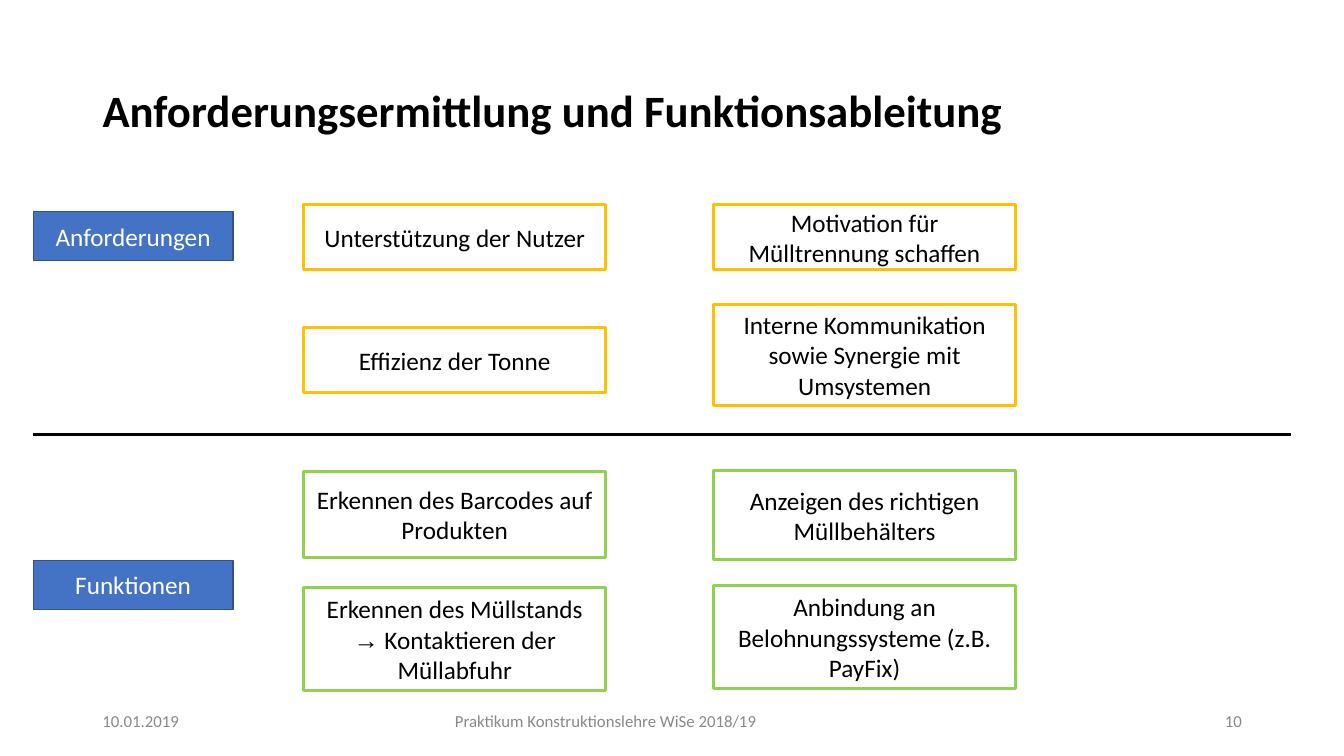
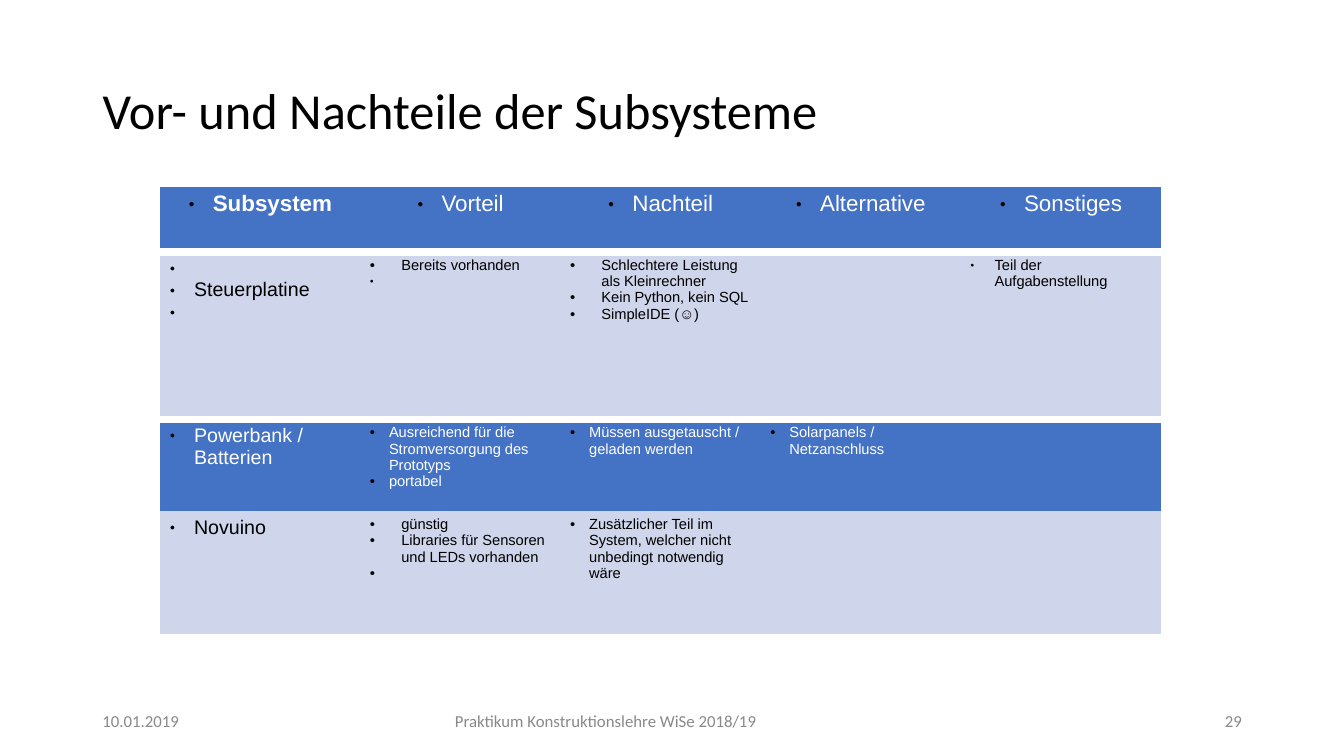
from dataclasses import dataclass

from lxml import etree
from pptx import Presentation
from pptx import util as u
from pptx.dml.color import RGBColor
from pptx.enum import shapes, text
from pptx.oxml import ns

COLORS = {
    "black": "000000", "white": "FFFFFF", "footer": "898989",
    "blue": "4472C4", "blue_edge": "2F528F", "pale": "CFD5EA",
    "yellow": "FFC000", "green": "92D050",
}
BODY_FONT = "Calibri"
TABLE_FONT = "Arial"
PLAIN_TABLE_STYLE = "{2D5ABB26-0587-4C30-8999-92F81FD0307C}"
LEFT, CENTER, RIGHT = text.PP_ALIGN.LEFT, text.PP_ALIGN.CENTER, text.PP_ALIGN.RIGHT


@dataclass(frozen=True)
class Card:
    left: float
    top: float
    width: float
    height: float
    label: str
    fill: str = "white"
    edge: str = "yellow"
    edge_width: float = 2.25
    ink: str = "black"


@dataclass(frozen=True)
class FooterPart:
    left: float
    width: float
    align: text.PP_ALIGN


@dataclass(frozen=True)
class Bullet:
    char: str
    indent: float
    percent: int = 100


@dataclass(frozen=True)
class Item:
    label: str
    bullet: Bullet


@dataclass(frozen=True)
class Row:
    height: float
    fill: str
    ink: str
    cells: tuple[tuple[Item, ...], ...]


# Shared page parts
FOOTER_PARTS = (
    FooterPart(2.33, 7.62, LEFT),
    FooterPart(6.83, 16.87, CENTER),
    FooterPart(23.93, 7.62, RIGHT),
)

# Requirement and function cards
COLUMN_A, COLUMN_B, CARD_WIDTH = 7.65, 17.98, 7.62


def group_label(top: float, label: str) -> Card:
    return Card(0.84, top, 5.03, 1.24, label, "blue", "blue_edge", 1, "white")


def function_card(left: float, top: float, height: float, label: str) -> Card:
    return Card(left, top, CARD_WIDTH, height, label, edge="green")


CARDS = (
    group_label(5.33, "Anforderungen"),
    group_label(14.12, "Funktionen"),
    Card(COLUMN_A, 5.16, CARD_WIDTH, 1.63, "Unterstützung der Nutzer"),
    Card(COLUMN_B, 5.16, CARD_WIDTH, 1.63, "Motivation für Mülltrennung schaffen"),
    Card(COLUMN_A, 8.26, CARD_WIDTH, 1.63, "Effizienz der Tonne"),
    Card(COLUMN_B, 7.67, CARD_WIDTH, 2.54,
         "Interne Kommunikation sowie Synergie mit Umsystemen"),
    function_card(COLUMN_A, 11.89, 2.16, "Erkennen des Barcodes auf Produkten"),
    function_card(COLUMN_B, 11.86, 2.24, "Anzeigen des richtigen Müllbehälters"),
    function_card(COLUMN_A, 14.81, 2.59,
                  "Erkennen des Müllstands\v→ Kontaktieren der Müllabfuhr"),
    function_card(COLUMN_B, 14.76, 2.59,
                  "Anbindung an Belohnungssysteme (z.B. PayFix)"),
)

# Subsystem table
DOT = Bullet("●", 0.61, 45)
WIDE = Bullet("•", 0.79)
TIGHT = Bullet("•", 0.48)


def items(bullet: Bullet, *labels: str) -> tuple[Item, ...]:
    return tuple(Item(label, bullet) for label in labels)


HEADINGS = ("Subsystem", "Vorteil", "Nachteil", "Alternative", "Sonstiges")
ROWS = (
    Row(1.65, "blue", "white", tuple(items(DOT, name) for name in HEADINGS)),
    Row(4.22, "pale", "black", (
        items(DOT, " ", "Steuerplatine", " "),
        items(WIDE, "Bereits vorhanden") + items(DOT, " "),
        items(WIDE, "Schlechtere Leistung als Kleinrechner",
              "Kein Python, kein SQL", "SimpleIDE (☺)"),
        (),
        items(DOT, "Teil der Aufgabenstellung"),
    )),
    Row(2.31, "blue", "white", (
        items(DOT, "Powerbank /\vBatterien"),
        items(TIGHT, "Ausreichend für die Stromversorgung des Prototyps",
              "portabel"),
        items(TIGHT, "Müssen ausgetauscht / geladen werden"),
        items(TIGHT, "Solarpanels / Netzanschluss"),
        (),
    )),
    Row(3.1, "pale", "black", (
        items(DOT, "Novuino"),
        items(WIDE, "günstig", "Libraries für Sensoren und LEDs vorhanden")
        + items(TIGHT, " "),
        items(TIGHT, "Zusätzlicher Teil im System, welcher nicht unbedingt "
                     "notwendig wäre"),
        (),
        (),
    )),
)


def color(name: str) -> RGBColor:
    return RGBColor.from_string(COLORS[name])


def format_runs(para, size: float, ink: str, font: str = BODY_FONT,
                bold: bool = False) -> None:
    for span in para.runs:
        span.font.name = font
        span.font.size = u.Pt(size)
        span.font.bold = bold
        span.font.color.rgb = color(ink)


def add_page(deck, title: str, size: float, bold: bool, number: str):
    page = deck.slides.add_slide(deck.slide_layouts[5])
    box = page.shapes.title
    box.left, box.top = u.Cm(2.33), u.Cm(1.01)
    box.width, box.height = u.Cm(29.21), u.Cm(3.68)
    frame = box.text_frame
    frame.text = title
    frame.auto_size = text.MSO_AUTO_SIZE.NONE
    frame.vertical_anchor = text.MSO_ANCHOR.MIDDLE
    para = frame.paragraphs[0]
    para.alignment = LEFT
    para.line_spacing = 0.9
    format_runs(para, size, "black", bold=bold)

    labels = ("10.01.2019", "Praktikum Konstruktionslehre WiSe 2018/19", number)
    for part, label in zip(FOOTER_PARTS, labels):
        box = page.shapes.add_textbox(
            u.Cm(part.left), u.Cm(17.65), u.Cm(part.width), u.Cm(1.01))
        frame = box.text_frame
        frame.text = label
        frame.word_wrap = True
        frame.vertical_anchor = text.MSO_ANCHOR.MIDDLE
        frame.paragraphs[0].alignment = part.align
        format_runs(frame.paragraphs[0], 12, "footer")
    return page


def add_card(page, card: Card) -> None:
    box = page.shapes.add_shape(
        shapes.MSO_SHAPE.RECTANGLE, u.Cm(card.left), u.Cm(card.top),
        u.Cm(card.width), u.Cm(card.height))
    box.shadow.inherit = False
    box.fill.solid()
    box.fill.fore_color.rgb = color(card.fill)
    box.line.color.rgb = color(card.edge)
    box.line.width = u.Pt(card.edge_width)
    frame = box.text_frame
    frame.word_wrap = True
    frame.vertical_anchor = text.MSO_ANCHOR.MIDDLE
    before, arrow, after = card.label.partition("→")
    para = frame.paragraphs[0]
    para.text = before
    para.alignment = CENTER
    if arrow:
        arrow_span = para.add_run()
        arrow_span.text = arrow
        para.add_run().text = after
    format_runs(para, 18, card.ink)
    if arrow:
        arrow_span.font.name = TABLE_FONT


def add_divider(page) -> None:
    line = page.shapes.add_connector(
        shapes.MSO_CONNECTOR.STRAIGHT,
        u.Cm(0.84), u.Cm(10.95), u.Cm(32.54), u.Cm(10.95))
    line.line.color.rgb = color("black")
    line.line.width = u.Pt(1.5)
    etree.SubElement(line._element.spPr, ns.qn("a:effectLst"))


def set_bullet(para, bullet: Bullet) -> None:
    props = para._p.get_or_add_pPr()
    props.set("marL", str(u.Cm(bullet.indent)))
    props.set("indent", str(-u.Cm(bullet.indent)))
    tint = etree.SubElement(props, ns.qn("a:buClr"))
    etree.SubElement(tint, ns.qn("a:srgbClr"), val=COLORS["black"])
    etree.SubElement(props, ns.qn("a:buSzPct"), val=str(bullet.percent * 1000))
    etree.SubElement(props, ns.qn("a:buFont"), typeface=TABLE_FONT)
    etree.SubElement(props, ns.qn("a:buChar"), char=bullet.char)


def set_border(cell, side: str, width: float) -> None:
    border = etree.Element(ns.qn(f"a:{side}"), w=str(u.Pt(width)))
    fill = etree.SubElement(border, ns.qn("a:solidFill"))
    etree.SubElement(fill, ns.qn("a:srgbClr"), val=COLORS["white"])
    cell._tc.get_or_add_tcPr().insert(0, border)


def fill_cell(cell, row: Row, entries: tuple[Item, ...], size: float,
              header: bool, bold: bool) -> None:
    cell.fill.solid()
    cell.fill.fore_color.rgb = color(row.fill)
    cell.margin_left = cell.margin_right = u.Cm(0.24)
    for index, item in enumerate(entries):
        frame = cell.text_frame
        para = frame.add_paragraph() if index else frame.paragraphs[0]
        para.text = item.label
        para.alignment = CENTER if header else LEFT
        set_bullet(para, item.bullet)
        format_runs(para, size, row.ink, TABLE_FONT, bold)


def add_subsystem_table(page) -> None:
    height = sum(row.height for row in ROWS)
    table = page.shapes.add_table(
        len(ROWS), len(HEADINGS), u.Cm(4.04), u.Cm(4.7),
        u.Cm(25.22), u.Cm(height)).table
    table.first_row = table.horz_banding = False
    table._tbl.tblPr.find(ns.qn("a:tableStyleId")).text = PLAIN_TABLE_STYLE
    for r, row in enumerate(ROWS):
        table.rows[r].height = u.Cm(row.height)
        for c, entries in enumerate(row.cells):
            size = 16 if r == 0 else 14 if c == 0 else 10.5
            fill_cell(table.cell(r, c), row, entries, size, r == 0, r == c == 0)
    for c in range(len(HEADINGS)):
        set_border(table.cell(0, c), "lnB", 6)
        set_border(table.cell(1, c), "lnT", 6)


def main() -> None:
    deck = Presentation()
    deck.slide_width, deck.slide_height = u.Cm(33.87), u.Cm(19.05)

    # Requirements and functions
    page = add_page(deck, "Anforderungsermittlung und Funktionsableitung",
                    32, True, "10")
    for card in CARDS:
        add_card(page, card)
    add_divider(page)

    # Pros and cons
    page = add_page(deck, "Vor- und Nachteile der Subsysteme", 36, False, "29")
    add_subsystem_table(page)

    deck.save("out.pptx")


if __name__ == "__main__":
    main()
